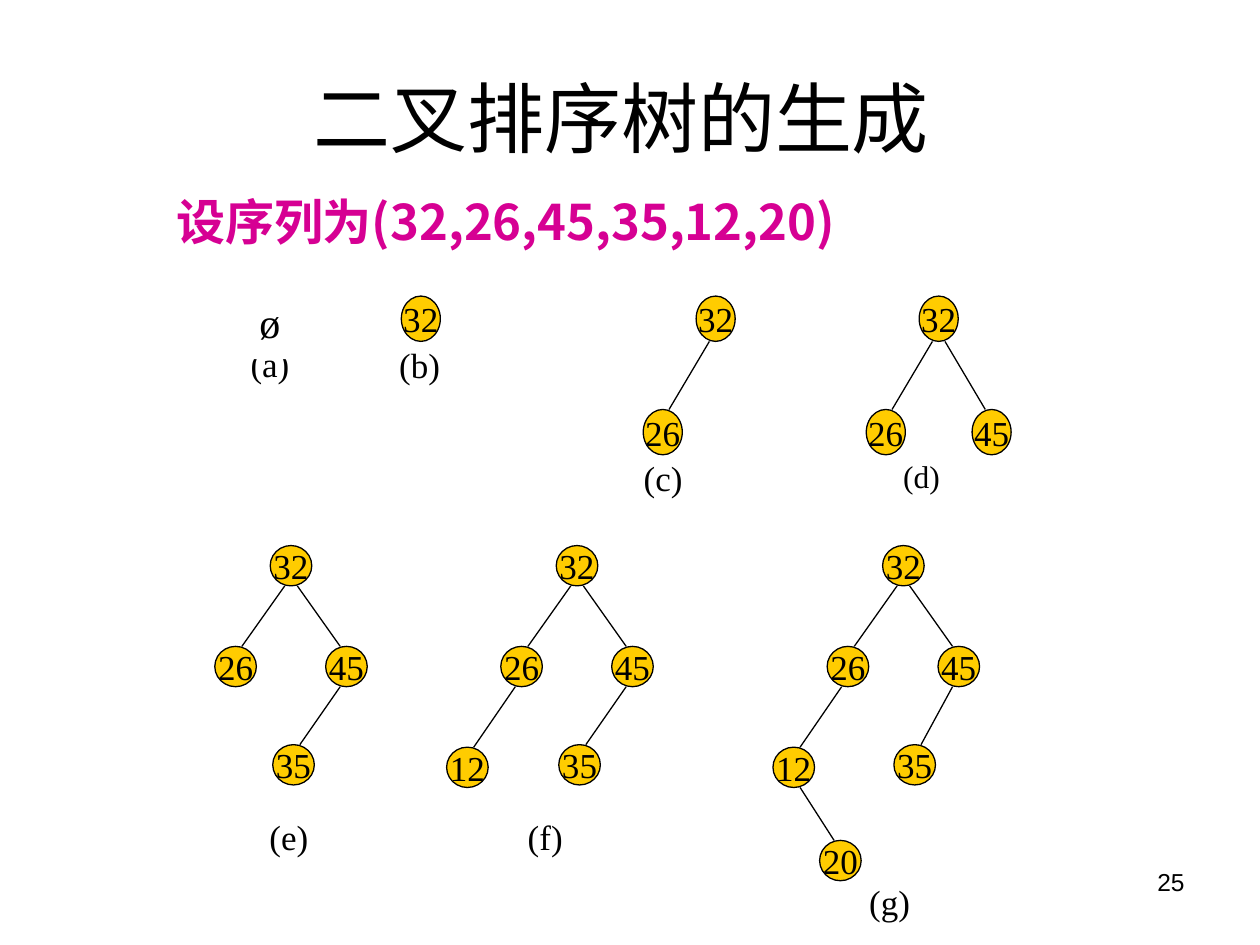
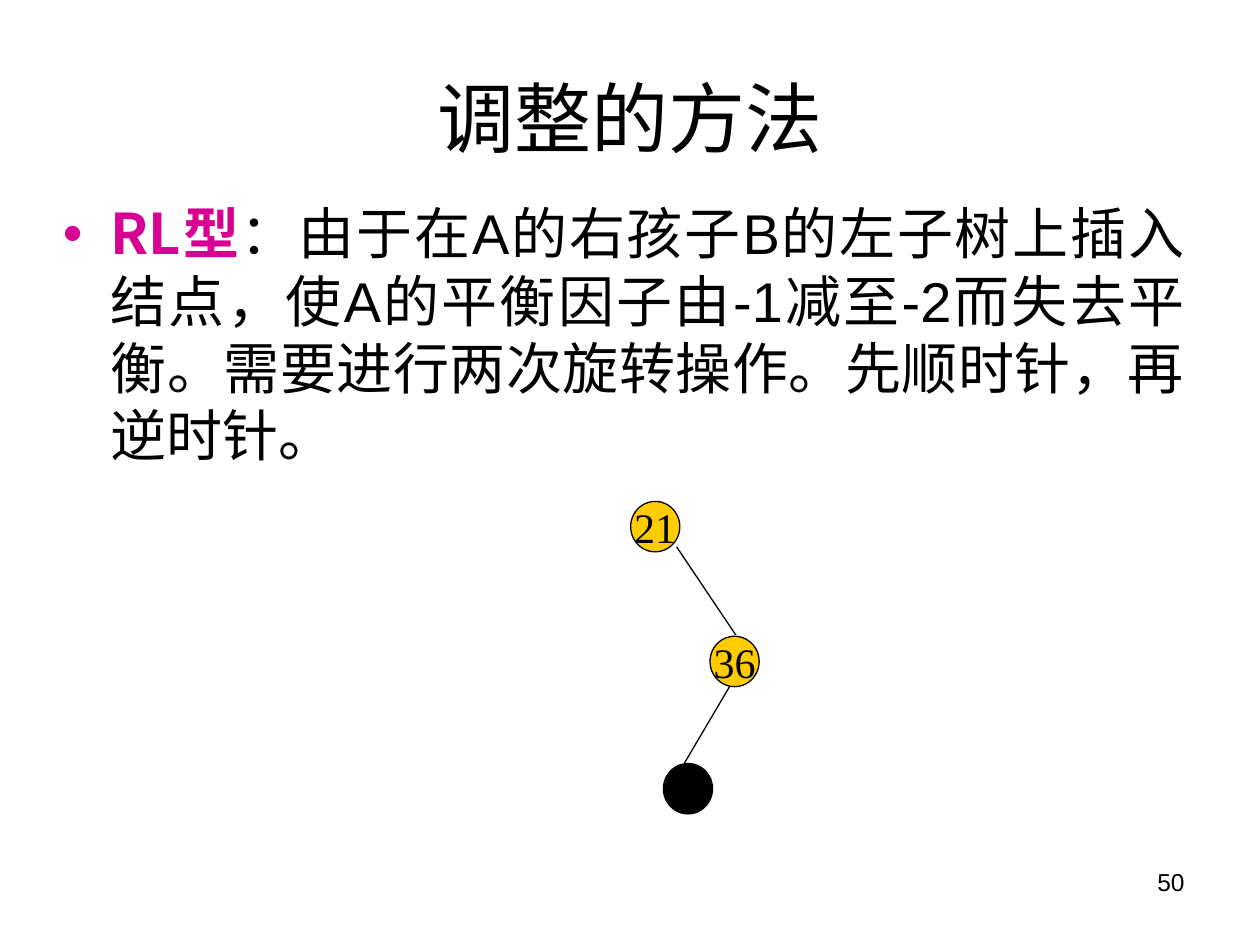
from lxml import etree
from pptx import Presentation
from pptx.dml.color import RGBColor
from pptx.enum.shapes import MSO_CONNECTOR, MSO_SHAPE
from pptx.enum.text import MSO_ANCHOR, PP_ALIGN
from pptx.oxml.ns import qn
from pptx.util import Inches, Pt

LEFT, CENTER, RIGHT, JUSTIFY = PP_ALIGN.LEFT, PP_ALIGN.CENTER, PP_ALIGN.RIGHT, PP_ALIGN.JUSTIFY
TOP, MIDDLE = MSO_ANCHOR.TOP, MSO_ANCHOR.MIDDLE
ELLIPSE, RECTANGLE = MSO_SHAPE.OVAL, MSO_SHAPE.RECTANGLE
STRAIGHT = MSO_CONNECTOR.STRAIGHT

BLACK, WHITE, GOLD, MAGENTA = "000000", "FFFFFF", "FFCC00", "D60093"
SANS, SERIF, CHINESE = "Arial", "Times New Roman", "Noto Sans CJK SC"
TITLE_ONLY = 5
EDGE_INSET = 0.05

SEQUENCE = (32, 26, 45, 35, 12, 20)
PARENTS = {26: 32, 45: 32, 35: 45, 12: 26, 20: 12}
SMALL_TREE = {32: (0, 0), 26: (-0.42, 0.9), 45: (0.42, 0.9)}
LARGE_TREE = {32: (0, 0), 26: (-0.44, 0.8), 45: (0.44, 0.8),
              35: (0.02, 1.58), 12: (-0.87, 1.6), 20: (-0.5, 2.34)}
LAST_TREE = {**LARGE_TREE, 35: (0.09, 1.58)}
SMALL_NODE, LARGE_NODE, AVL_NODE = (0.31, 0.36), (0.33, 0.32), (0.39, 0.4)


def color(value):
    return RGBColor.from_string(value)


def write(paragraph, text, size=20, font=SERIF, east_asian=CHINESE, fill=BLACK, bold=False):
    run = paragraph.add_run()
    run.text = text
    run.font.size = Pt(size)
    run.font.name = font
    run.font.bold = bold
    run.font.color.rgb = color(fill)
    latin = run.font._element.find(qn("a:latin"))
    latin.addnext(latin.makeelement(qn("a:ea"), {"typeface": east_asian}))


class Deck:
    def __init__(self):
        self.presentation = Presentation()
        self.presentation.slide_width = Inches(10)
        self.presentation.slide_height = Inches(7.5)
        self.slide = None

    def add_slide(self, title, number, east_asian=CHINESE):
        layout = self.presentation.slide_layouts[TITLE_ONLY]
        self.slide = self.presentation.slides.add_slide(layout)
        shape = self.slide.shapes.title
        shape.left, shape.top, shape.width, shape.height = map(Inches, (0.5, 0.3, 9, 1.25))
        shape.text_frame.vertical_anchor = MIDDLE
        paragraph = shape.text_frame.paragraphs[0]
        paragraph.alignment = CENTER
        write(paragraph, title, size=44, font=SANS, east_asian=east_asian)
        self.text(str(number), 7.17, 6.83, 2.33, 0.52, align=RIGHT, size=14, font=SANS)

    def text(self, text, left, top, width, height, align=LEFT, **style):
        shape = self.slide.shapes.add_textbox(*map(Inches, (left, top, width, height)))
        shape.text_frame.word_wrap = True
        paragraph = shape.text_frame.paragraphs[0]
        paragraph.alignment = align
        write(paragraph, text, **style)
        return paragraph

    def bullet(self, paragraph, indent):
        properties = paragraph._p.get_or_add_pPr()
        properties.set("marL", str(Inches(indent)))
        properties.set("indent", str(-Inches(indent)))
        etree.SubElement(properties, qn("a:buFont"), typeface=SANS)
        etree.SubElement(properties, qn("a:buChar"), char="•")

    def shape(self, kind, left, top, width, height, fill, outline=None):
        shape = self.slide.shapes.add_shape(kind, *map(Inches, (left, top, width, height)))
        shape.shadow.inherit = False
        shape.fill.solid()
        shape.fill.fore_color.rgb = color(fill)
        if outline:
            shape.line.color.rgb = color(outline)
            shape.line.width = Pt(0.75)
        else:
            shape.line.fill.background()
        return shape

    def node(self, text, x, y, size, fill=GOLD, font_size=20):
        width, height = size
        shape = self.shape(ELLIPSE, x - width / 2, y - height / 2, width, height, fill, BLACK)
        if text:
            frame = shape.text_frame
            frame.margin_left = frame.margin_right = frame.margin_top = frame.margin_bottom = 0
            frame.word_wrap = False
            frame.vertical_anchor = MIDDLE
            frame.paragraphs[0].alignment = CENTER
            write(frame.paragraphs[0], text, size=font_size)

    def edge(self, x1, y1, x2, y2):
        connector = self.slide.shapes.add_connector(STRAIGHT, *map(Inches, (x1, y1, x2, y2)))
        connector.line.color.rgb = color(BLACK)
        connector.line.width = Pt(0.75)
        etree.SubElement(connector._element.spPr, qn("a:effectLst"))

    def tree(self, count, root_x, root_y, offsets, size):
        centers = {key: (root_x + offsets[key][0], root_y + offsets[key][1])
                   for key in SEQUENCE[:count]}
        for key, (x, y) in centers.items():
            if key in PARENTS:
                parent_x, parent_y = centers[PARENTS[key]]
                inset = EDGE_INSET if x > parent_x else -EDGE_INSET
                half = size[1] / 2
                self.edge(parent_x + inset, parent_y + half, x - inset, y - half)
            self.node(str(key), x, y, size)


def add_generation_slide(deck):
    deck.add_slide("二叉排序树的生成 ", 25, east_asian="Noto Sans CJK JP")
    heading = deck.text("设序列为(32,26,45,35,12,20)", 1.3, 1.47, 6.61, 0.57,
                        size=28, font=CHINESE, fill=MAGENTA, bold=True)
    heading.line_spacing = Pt(33.6)
    captions = (("(a)", 1.89, 2.67), ("(b)", 3.07, 2.68), ("(c)", 5.01, 3.57),
                ("(d)", 7.07, 3.58), ("(e)", 2.04, 6.42), ("(f)", 4.09, 6.42),
                ("(g)", 6.8, 6.94))
    for caption, left, top in captions:
        deck.text(caption, left, top, 0.9, 0.55, size=18 if caption == "(d)" else 20)

    empty_tree = deck.shape(RECTANGLE, 1.96, 2.25, 0.56, 0.6, WHITE)
    empty_tree.text_frame.vertical_anchor = MIDDLE
    empty_tree.text_frame.paragraphs[0].alignment = LEFT
    write(empty_tree.text_frame.paragraphs[0], "ø", size=24)

    for count, root_x in ((1, 3.34), (2, 5.68), (3, 7.45)):
        deck.tree(count, root_x, 2.53, SMALL_TREE, SMALL_NODE)
    for count, root_x, offsets in ((4, 2.31, LARGE_TREE), (5, 4.58, LARGE_TREE),
                                   (6, 7.17, LAST_TREE)):
        deck.tree(count, root_x, 4.49, offsets, LARGE_NODE)


def add_rotation_slide(deck):
    deck.add_slide("调整的方法", 50)
    paragraph = deck.text("RL型", 0.4, 1.53, 9.1, 2.35, align=JUSTIFY,
                          size=32, font=CHINESE, fill=MAGENTA, bold=True)
    write(paragraph, "：由于在A的右孩子B的左子树上插入结点，使A的平衡因子由-1减至-2而失去平衡。"
          "需要进行两次旋转操作。先顺时针，再逆时针。", size=32, font=SANS)
    paragraph.line_spacing = Pt(38.4)
    deck.bullet(paragraph, 0.38)

    deck.edge(5.37, 4.34, 5.84, 5.04)
    deck.edge(5.79, 5.45, 5.43, 6.06)
    for text, x, y, fill in (("21", 5.2, 4.18, GOLD), ("36", 5.83, 5.25, GOLD),
                             ("", 5.46, 6.26, BLACK)):
        deck.node(text, x, y, AVL_NODE, fill, font_size=24)


def main():
    deck = Deck()
    add_generation_slide(deck)
    add_rotation_slide(deck)
    deck.presentation.save("out.pptx")


if __name__ == "__main__":
    main()
